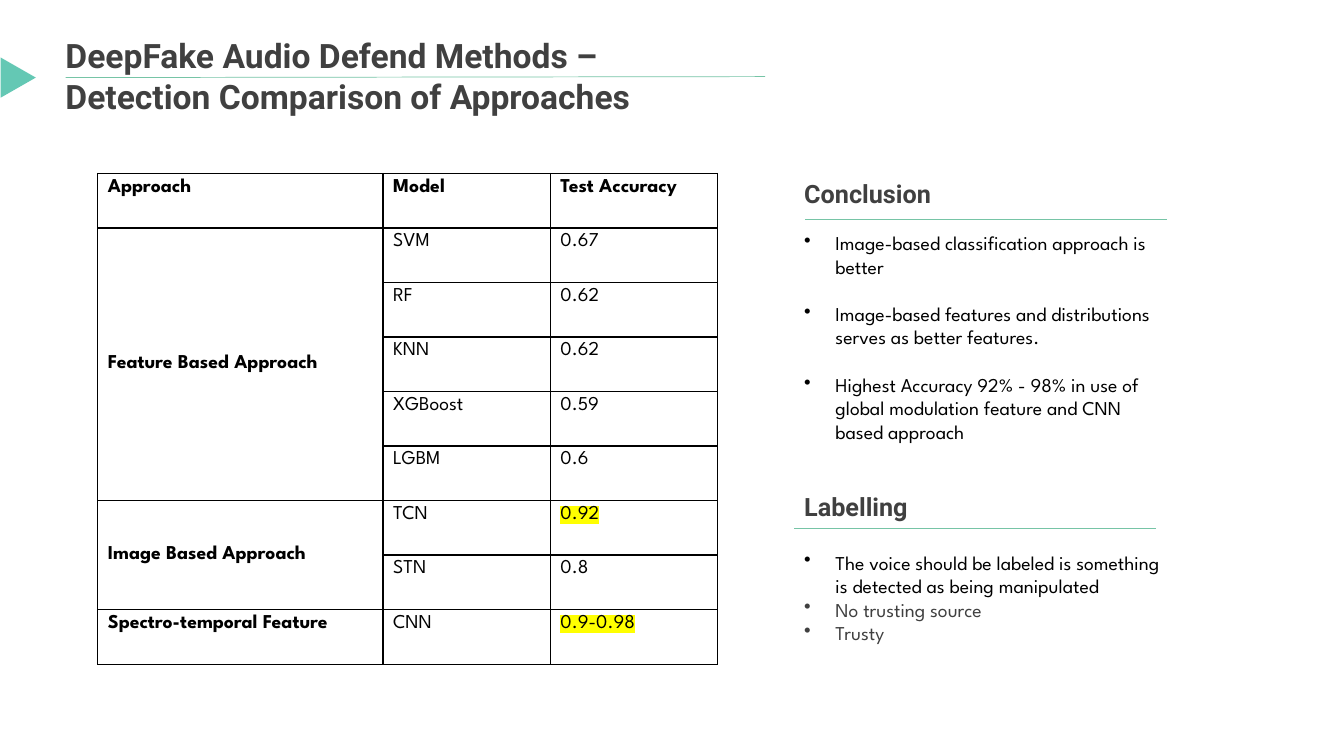
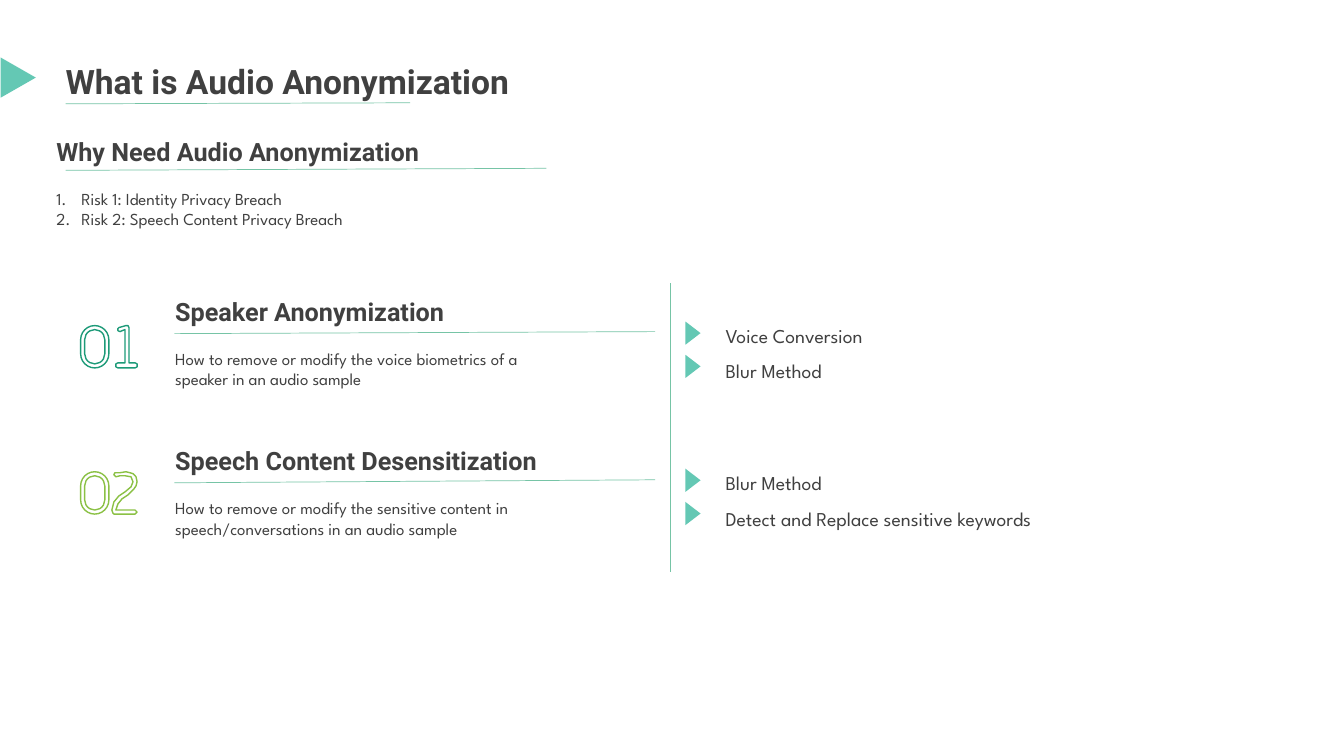
from lxml import etree
from pptx import Presentation
from pptx.dml.color import RGBColor
from pptx.enum.shapes import MSO_CONNECTOR as Connector, MSO_SHAPE as Shape
from pptx.enum.text import MSO_ANCHOR as Anchor
from pptx.oxml import parse_xml
from pptx.oxml.ns import nsdecls, qn
from pptx.util import Pt

presentation = Presentation()
presentation.slide_width, presentation.slide_height = 12192000, 6858000

# The grid has 75 rows over the slide's height; columns are as wide as rows are high.
GRID = presentation.slide_height // 75

BLACK, DARK, TEAL, RULE = "000000", "404040", "64C8B4", "76C4A6"
GREEN, LIME, YELLOW = "1D9A78", "8BC145", "FFFF00"
TITLE = dict(font="Roboto", size=24, bold=True)
HEADING = dict(font="Roboto", size=18, bold=True, after=16)
BULLET = dict(bullet='<a:buChar {} char="•"/>', indent=3.1)
NUMBER = dict(bullet='<a:buAutoNum {} type="arabicPeriod"/>', indent=2.5, size=12)
SPACED = dict(spacing=1.5)


def paint(fill, color):
    fill.solid()
    fill.fore_color.rgb = RGBColor.from_string(color)


def write(frame, text, font="League Spartan", size=14, bold=False, color=DARK, after=0,
          spacing=None, bullet=None, indent=0, highlight=None):
    """Fill the frame's first paragraph if it is empty, otherwise add one."""
    paragraph = frame.paragraphs[0]
    if paragraph.text:
        paragraph = frame.add_paragraph()
    paragraph.space_after = Pt(after)
    if spacing:
        paragraph.line_spacing = spacing
    if bullet:
        properties = paragraph._p.get_or_add_pPr()
        properties.set("marL", str(int(indent * GRID)))
        properties.set("indent", str(int(-indent * GRID)))
        properties.append(parse_xml(bullet.format(nsdecls("a"))))
    run = paragraph.add_run()
    run.text = text
    run.font.name, run.font.size, run.font.bold = font, Pt(size), bold
    paint(run.font.fill, color)
    if highlight:
        mark = etree.Element(qn("a:highlight"))
        etree.SubElement(mark, qn("a:srgbClr"), val=highlight)
        run._r.rPr.find(qn("a:solidFill")).addnext(mark)


# Rules are (left, top, right, bottom), arrows (center x, center y, base, height),
# texts (left, top, width, height, paragraphs); all in grid units.
page_arrow = (1.8, 7.7, 4, 3.5)
item_tops = (30.5, 45.1)
comparison = dict(
    title=("DeepFake Audio Defend Methods – Detection Comparison of Approaches", 3.5, 66),
    rules=[(6.5, 7.7, 75.9, 7.6), (79.9, 21.8, 115.8, 21.8), (78.8, 52.4, 114.7, 52.4)],
    arrows=[page_arrow],
    texts=[
        (78.8, 17.2, 38.1, 29.3, [
            ("Conclusion", HEADING),
            ("Image-based classification approach is better",
             dict(BULLET, color=BLACK, after=17)),
            ("Image-based features and distributions serves as better features.",
             dict(BULLET, color=BLACK, after=17)),
            ("Highest Accuracy 92% - 98% in use of global modulation feature and CNN "
             "based approach", dict(BULLET, color=BLACK)),
        ]),
        (78.8, 48.2, 38.1, 18.2, [
            ("Labelling", dict(HEADING, after=21)),
            ("The voice should be labeled is something is detected as being manipulated",
             dict(BULLET, color=BLACK)),
            ("No trusting source", BULLET),
            ("Trusty", BULLET),
        ]),
    ],
)
anonymization = dict(
    title=("What is Audio Anonymization", 6, 48.9),
    rules=[(6.5, 10.3, 40.7, 10.2), (6.5, 16.9, 54.2, 16.7), (17.3, 33.1, 65, 32.9),
           (17.3, 47.9, 65, 47.6), (66.5, 28.1, 66.5, 56.7)],
    arrows=[page_arrow] + [(68.75, top + offset, 2.3, 1.5)
                           for top in item_tops for offset in (2.55, 5.85)],
    texts=[
        (4.6, 13, 54.1, 9.8, [
            ("Why Need Audio Anonymization", HEADING),
            ("Risk 1: Identity Privacy Breach", NUMBER),
            ("Risk 2: Speech Content Privacy Breach", NUMBER),
        ]),
        (16.4, 28.9, 40.4, 9.8, [
            ("Speaker Anonymization", HEADING),
            ("How to remove or modify the voice biometrics of a speaker in an audio sample",
             dict(size=12)),
        ]),
        (16.4, 43.7, 40.4, 9.8, [
            ("Speech Content Desensitization", HEADING),
            ("How to remove or modify the sensitive content in speech/conversations in an "
             "audio sample", dict(size=12)),
        ]),
        (71, item_tops[0], 41.7, 7.6,
         [("Voice Conversion", SPACED), ("Blur Method", SPACED)]),
        (71, item_tops[1], 41.7, 7.6,
         [("Blur Method", SPACED), ("Detect and Replace sensitive keywords", SPACED)]),
    ],
)

# Shared parts of both slides: rules, title, arrows and text blocks
slides = []
for content in (comparison, anonymization):
    slide = presentation.slides.add_slide(presentation.slide_layouts[6])
    slides.append(slide)
    for rule in content["rules"]:
        line = slide.shapes.add_connector(
            Connector.STRAIGHT, *[int(value * GRID) for value in rule])
        paint(line.line.fill, RULE)
        line.line.width = Pt(0.5)
        etree.SubElement(line._element.spPr, qn("a:effectLst"))
    for center_x, center_y, base, height in content["arrows"]:
        arrow = slide.shapes.add_shape(
            Shape.ISOSCELES_TRIANGLE,
            int((center_x - base / 2) * GRID), int((center_y - height / 2) * GRID),
            int(base * GRID), int(height * GRID))
        arrow.rotation = 90
        arrow.shadow.inherit = False
        paint(arrow.fill, TEAL)
        arrow.line.fill.background()
    title, title_top, title_width = content["title"]
    title_block = (6.5, title_top, title_width, 8, [(title, TITLE)])
    for block in [title_block] + content["texts"]:
        box = slide.shapes.add_textbox(*[int(value * GRID) for value in block[:4]])
        frame = box.text_frame
        frame.word_wrap = True
        if block is title_block:
            frame.margin_left = frame.margin_right = 0
            frame.margin_top = frame.margin_bottom = 0
        for text, style in block[4]:
            write(frame, text, **style)

# Slide 1: accuracy table
accuracy_groups = [
    ("Feature Based Approach", [("SVM", "0.67"), ("RF", "0.62"), ("KNN", "0.62"),
                                ("XGBoost", "0.59"), ("LGBM", "0.6")]),
    ("Image Based Approach", [("TCN", "0.92"), ("STN", "0.8")]),
    ("Spectro-temporal Feature", [("CNN", "0.9-0.98")]),
]
best_values = ("0.92", "0.9-0.98")
rows = [("Approach", "Model", "Test Accuracy")]
for approach, results in accuracy_groups:
    for index, result in enumerate(results):
        rows.append(("" if index else approach, *result))

row_height = 5.41
table = slides[0].shapes.add_table(
    len(rows), 3, int(9.7 * GRID), int(17.2 * GRID),
    int(61.5 * GRID), int(row_height * len(rows) * GRID)).table
table.first_row = table.horz_banding = False
for column, width in zip(table.columns, (28.3, 16.6, 16.6)):
    column.width = int(width * GRID)
for row_index, row in enumerate(rows):
    table.rows[row_index].height = int(row_height * GRID)
    for column_index, text in enumerate(row):
        cell = table.cell(row_index, column_index)
        for side in "LRTB":
            cell._tc.get_or_add_tcPr().append(parse_xml(
                f'<a:ln{side} {nsdecls("a")} w="12700"><a:solidFill>'
                f'<a:srgbClr val="{BLACK}"/></a:solidFill></a:ln{side}>'))
        cell.fill.background()
        if text:
            write(cell.text_frame, text, color=BLACK,
                  bold=row_index == 0 or column_index == 0,
                  highlight=YELLOW if text in best_values else None)
first_row = 1
for approach, results in accuracy_groups:
    if len(results) > 1:
        label = table.cell(first_row, 0)
        label.merge(table.cell(first_row + len(results) - 1, 0))
        label.vertical_anchor = Anchor.MIDDLE
    first_row += len(results)

# Slide 2: outlined numerals 01 and 02, digit corners in tenths of a grid unit
ONE = [(10, 0), (12, 0), (13, 2), (13, 37), (19, 37), (21, 38), (21, 41), (19, 42), (2, 42),
       (0, 41), (0, 38), (2, 37), (9, 37), (9, 4), (4, 6), (2, 5), (2, 3), (3, 2)]
TWO = [(14, 0), (18, 1), (21, 2), (24, 5), (25, 10), (24, 14), (22, 17), (16, 23), (10, 27),
       (6, 32), (4, 38), (23, 38), (25, 40), (23, 42), (2, 42), (1, 41), (0, 38), (2, 30),
       (7, 24), (13, 20), (19, 15), (21, 10), (19, 5), (13, 4), (8, 4), (4, 5), (2, 3),
       (3, 1), (8, 1)]
for top, digit_left, corners, color in ((32.3, 11.5, ONE, GREEN), (46.8, 11.1, TWO, LIME)):
    shapes = slides[1].shapes
    outlines = []
    for inset in (0, 0.4):
        ring = shapes.add_shape(
            Shape.ROUNDED_RECTANGLE, int((8 + inset) * GRID), int((top + inset) * GRID),
            int((2.8 - 2 * inset) * GRID), int((4.2 - 2 * inset) * GRID))
        ring.adjustments[0] = 0.5
        outlines.append(ring)
    builder = shapes.build_freeform(*corners[0], scale=GRID / 10)
    builder.add_line_segments(corners[1:], close=True)
    outlines.append(builder.convert_to_shape(int(digit_left * GRID), int(top * GRID)))
    for outline in outlines:
        outline.shadow.inherit = False
        outline.fill.background()
        paint(outline.line.fill, color)
        outline.line.width = Pt(1)

presentation.save("out.pptx")
